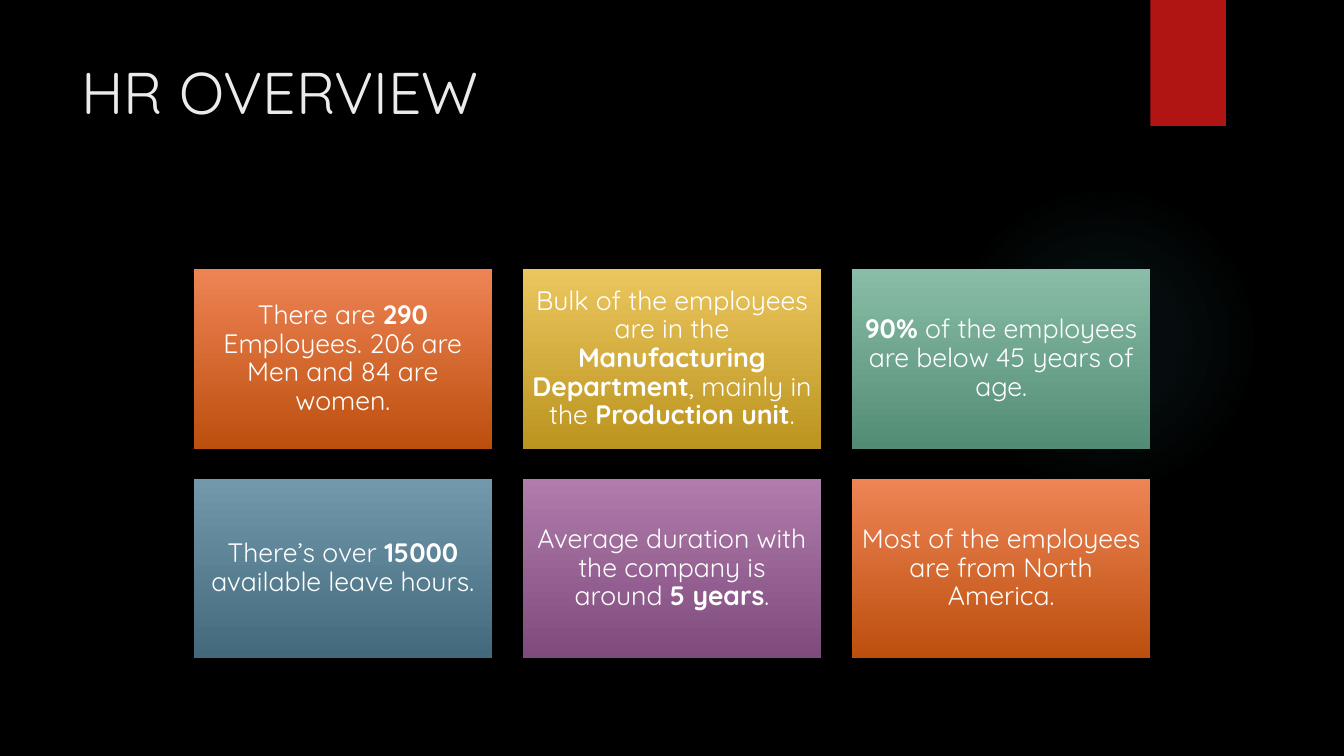
from lxml import etree
from pptx import Presentation
from pptx.dml.color import RGBColor
from pptx.enum.shapes import MSO_SHAPE as SHAPE
from pptx.enum.text import MSO_ANCHOR as ANCHOR, PP_ALIGN as ALIGN
from pptx.oxml import parse_xml
from pptx.oxml.ns import nsdecls, qn
from pptx.util import Inches, Pt

COLORS = {
    "background": "000000", "glow": "50B9C1", "ribbon": "B01513",
    "title": "EBEBEB", "card_text": "FFFFFF",
    "orange_top": "EE8455", "orange_bottom": "BC4F0E",
    "gold_top": "EBC65F", "gold_bottom": "BB941F",
    "green_top": "89BDA7", "green_bottom": "538C74",
    "blue_top": "7198AB", "blue_bottom": "436A7C",
    "purple_top": "AF7CAC", "purple_bottom": "7F4B7C",
}
CARDS = [
    ("orange", "There are **290** Employees. 206 are Men and 84 are women."),
    ("gold", "Bulk of the employees are in the **Manufacturing Department**, "
             "mainly in the **Production unit**."),
    ("green", "**90% **of the employees are below 45 years of age."),
    ("blue", "There’s over **15000** available leave hours."),
    ("purple", "Average duration with the company is around **5 years**."),
    ("orange", "Most of the employees are from North America."),
]


def rgb(name):
    return RGBColor.from_string(COLORS[name])


def write(sp, text, size, color, align=ALIGN.LEFT, anchor=ANCHOR.TOP, spacing=1.0):
    tf = sp.text_frame
    tf.word_wrap = True
    tf.vertical_anchor = anchor
    p = tf.paragraphs[0]
    p.alignment = align
    p.line_spacing = spacing
    for i, part in enumerate(text.split("**")):
        if part:
            r = p.add_run()
            r.text = part
            r.font.name = "Quicksand"
            r.font.size = Pt(size)
            r.font.bold = i % 2 == 1
            r.font.color.rgb = rgb(color)


prs = Presentation()
prs.slide_width, prs.slide_height = Inches(13.33), Inches(7.5)
s = prs.slides.add_slide(prs.slide_layouts[6])
s.background.fill.solid()
s.background.fill.fore_color.rgb = rgb("background")

glow = s.shapes.add_shape(SHAPE.OVAL, Inches(9.41), Inches(1.83), Inches(3.08), Inches(3.08))
glow.shadow.inherit = False
glow.line.fill.background()
glow.fill.gradient()
grad = parse_xml(f'<a:gradFill {nsdecls("a")}><a:gsLst/><a:path path="circle">'
                 '<a:fillToRect l="50000" t="50000" r="50000" b="50000"/></a:path></a:gradFill>')
for position, alpha in [(0, 7), (36, 6), (69, 0)]:
    stop = etree.SubElement(grad[0], qn("a:gs"), pos=str(position * 1000))
    color = etree.SubElement(stop, qn("a:srgbClr"), val=COLORS["glow"])
    etree.SubElement(color, qn("a:alpha"), val=str(alpha * 1000))
spPr = glow._element.spPr
spPr.replace(spPr.find(qn("a:gradFill")), grad)

ribbon = s.shapes.add_shape(SHAPE.RECTANGLE, Inches(11.41), 0, Inches(0.75), Inches(1.25))
ribbon.shadow.inherit = False
ribbon.line.fill.background()
ribbon.fill.solid()
ribbon.fill.fore_color.rgb = rgb("ribbon")

title = s.shapes.add_textbox(Inches(0.71), Inches(0.5), Inches(10.29), Inches(1.53))
write(title, "HR OVERVIEW", size=42, color="title")

for i, (hue, text) in enumerate(CARDS):
    row, col = divmod(i, 3)
    card = s.shapes.add_shape(SHAPE.RECTANGLE, Inches(1.92 + 3.265 * col),
                              Inches(2.67 + 2.08 * row), Inches(2.96), Inches(1.78))
    card.shadow.inherit = False
    card.line.fill.background()
    card.fill.gradient()
    card.fill.gradient_angle = 270
    for stop, end in zip(card.fill.gradient_stops, ("top", "bottom")):
        stop.color.rgb = rgb(f"{hue}_{end}")
    tf = card.text_frame
    tf.margin_left = tf.margin_right = tf.margin_top = tf.margin_bottom = Inches(0.08)
    write(card, text, size=19, color="card_text", align=ALIGN.CENTER,
          anchor=ANCHOR.MIDDLE, spacing=0.9)

prs.save("out.pptx")
